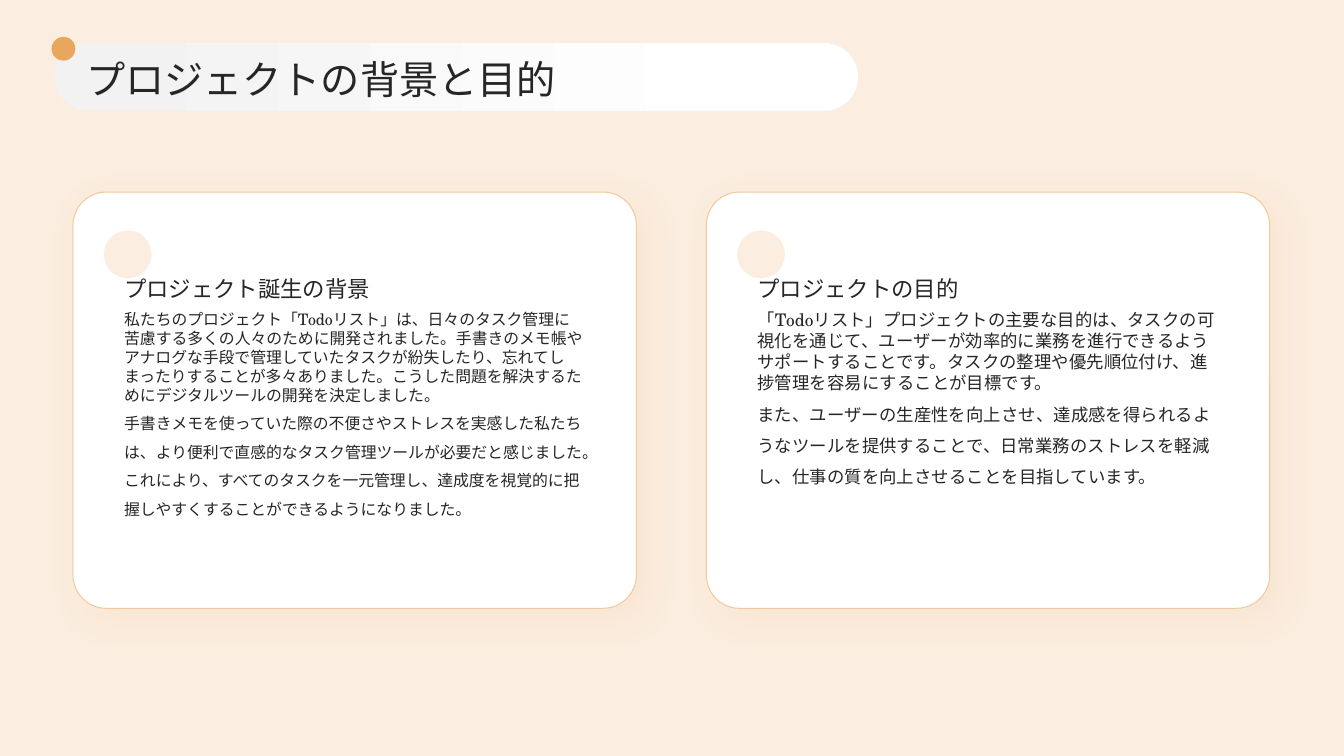
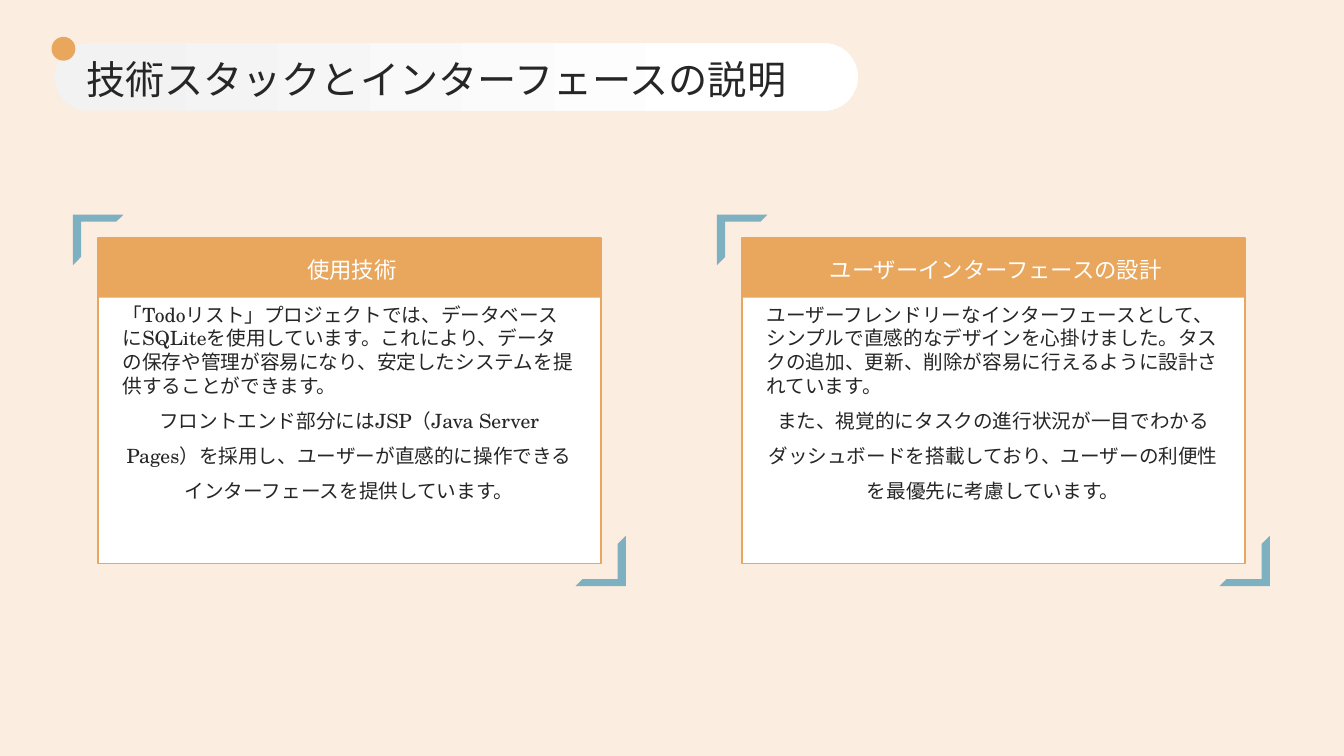
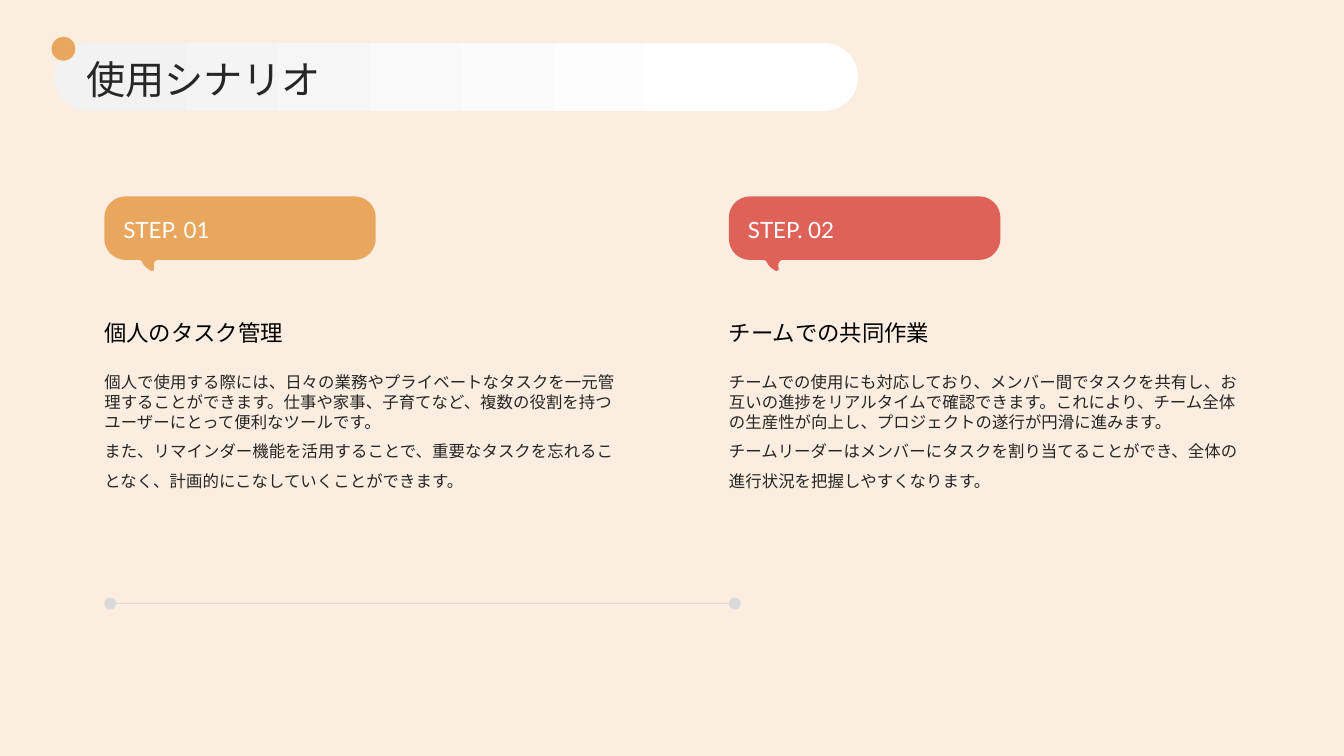
from dataclasses import dataclass
from typing import NamedTuple

import lxml.etree
import pptx
import pptx.dml.color
import pptx.enum.lang
import pptx.enum.shapes
import pptx.enum.text
import pptx.oxml.ns
import pptx.util

Cm = pptx.util.Cm
Pt = pptx.util.Pt
ALIGN = pptx.enum.text.PP_ALIGN
ANCHOR = pptx.enum.text.MSO_ANCHOR
SHAPE = pptx.enum.shapes.MSO_SHAPE
qn = pptx.oxml.ns.qn


# Theme
@dataclass(frozen=True)
class Theme:
    cream: str = "FBEDDF"
    white: str = "FFFFFF"
    pale_grey: str = "F2F2F2"
    rule_grey: str = "D9D9D9"
    ink: str = "262626"
    black: str = "000000"
    orange: str = "E9A65D"
    peach: str = "F2CA9E"
    teal: str = "7DB0C1"
    red: str = "DE6258"
    serif: str = "TeX Gyre Schola"
    sans: str = "Lato"
    title_size: float = 28
    heading_size: float = 16
    panel_size: float = 14
    purpose_size: float = 12.45
    scenario_size: float = 11.7
    background_size: float = 11.3


THEME = Theme()


@dataclass(frozen=True)
class TextStyle:
    size: float
    color: str = THEME.ink
    spacing: float = 1.5
    align: ALIGN = ALIGN.LEFT
    anchor: ANCHOR = ANCHOR.TOP
    font: str = THEME.serif


TITLE = TextStyle(THEME.title_size, spacing=1.1, anchor=ANCHOR.MIDDLE)
CARD_HEADING = TextStyle(THEME.heading_size, spacing=1.3, anchor=ANCHOR.BOTTOM)
PANEL_HEADING = TextStyle(THEME.heading_size, THEME.white, align=ALIGN.CENTER, anchor=ANCHOR.MIDDLE)
STEP_HEADING = TextStyle(THEME.heading_size, THEME.black, 1.3, anchor=ANCHOR.MIDDLE)
STEP_LABEL = TextStyle(THEME.heading_size, THEME.white, 1.1, anchor=ANCHOR.MIDDLE, font=THEME.sans)


class Box(NamedTuple):
    """Left, top, width and height in centimetres."""
    left: float
    top: float
    width: float
    height: float

    def shift(self, dx: float) -> "Box":
        return self._replace(left=self.left + dx)

    def lengths(self) -> list:
        return [Cm(value) for value in self]


PAGE = Box(0, 0, 33.87, 19.05)


@dataclass(frozen=True)
class Topic:
    heading: str
    body: str
    size: float
    label: str = ""
    accent: str = THEME.orange


# Drawing helpers
def rgb(color: str):
    return pptx.dml.color.RGBColor.from_string(color)


def paint(shape, fill: str, line: str = "", width: float = 1) -> None:
    shape.shadow.inherit = False
    shape.fill.solid()
    shape.fill.fore_color.rgb = rgb(fill)
    if line:
        shape.line.color.rgb = rgb(line)
        shape.line.width = Pt(width)
    else:
        shape.line.fill.background()


def add_block(slide, kind, box: Box, fill: str, line: str = "", width: float = 1):
    block = slide.shapes.add_shape(kind, *box.lengths())
    paint(block, fill, line, width)
    return block


def add_glow(shape, color: str) -> None:
    """Soft shadow towards the lower right."""
    effects = shape.element.spPr.find(qn("a:effectLst"))
    shadow = lxml.etree.SubElement(
        effects, qn("a:outerShdw"), blurRad=str(Pt(25)), dist=str(Pt(10)),
        dir=str(45 * 60000), algn="tl", rotWithShape="0")
    tint = lxml.etree.SubElement(shadow, qn("a:srgbClr"), val=color)
    lxml.etree.SubElement(tint, qn("a:alpha"), val="10000")


def write(holder, box: Box, text: str, style: TextStyle, wrap: bool = True) -> None:
    """Place a text holder in front and fill it with one run."""
    holder.left, holder.top, holder.width, holder.height = box.lengths()
    holder.element.getparent().append(holder.element)
    frame = holder.text_frame
    frame.word_wrap = wrap
    frame.auto_size = pptx.enum.text.MSO_AUTO_SIZE.NONE
    frame.margin_left = frame.margin_right = frame.margin_top = frame.margin_bottom = 0
    frame.vertical_anchor = style.anchor
    paragraph = frame.paragraphs[0]
    properties = paragraph._p.get_or_add_pPr()
    properties.set("marL", "0")
    properties.set("indent", "0")
    lxml.etree.SubElement(properties, qn("a:buNone"))
    paragraph.alignment = style.align
    paragraph.line_spacing = style.spacing
    paragraph.space_before = paragraph.space_after = Pt(0)
    run = paragraph.add_run()
    run.text = text
    run.font.size = Pt(style.size)
    run.font.bold = False
    run.font.name = style.font
    run.font.color.rgb = rgb(style.color)
    run.font.language_id = pptx.enum.lang.MSO_LANGUAGE_ID.JAPANESE
    latin = run.font._element.find(qn("a:latin"))
    latin.addnext(lxml.etree.Element(qn("a:ea"), typeface=style.font))


def write_topic(slide, column: int, topic: Topic, heading_box: Box, heading: TextStyle,
                body_box: Box, align: ALIGN = ALIGN.LEFT) -> None:
    """Fill one heading and body pair of the comparison layout."""
    holders = slide.placeholders
    write(holders[1 + 2 * column], heading_box, topic.heading, heading)
    write(holders[2 + 2 * column], body_box, topic.body, TextStyle(topic.size, align=align))


def start_slide(deck):
    slide = deck.slides.add_slide(deck.slide_layouts.get_by_name("Comparison"))
    add_block(slide, SHAPE.RECTANGLE, PAGE, THEME.cream)
    return slide


def add_title_band(slide, title: str) -> None:
    """Title band shared by all slides, in front of the content."""
    band = add_block(slide, SHAPE.ROUNDED_RECTANGLE, Box(1.37, 1.09, 20.25, 1.7), THEME.white)
    band.adjustments[0] = 0.5
    band.fill.gradient()
    band.fill.gradient_angle = 0
    stops = ((0.05, THEME.pale_grey), (0.85, THEME.white))
    for stop, (position, color) in zip(band.fill.gradient_stops, stops):
        stop.position = position
        stop.color.rgb = rgb(color)
    add_block(slide, SHAPE.OVAL, Box(1.3, 0.93, 0.6, 0.6), THEME.orange)
    write(slide.shapes.title, Box(2.17, 1.28, 29.82, 1.3), title, TITLE)


# Speech bubble
def bubble_outline() -> list[tuple]:
    """Edges in centimetres: one point is a line, three points are a curve."""
    width, height, radius, pull = 6.84, 1.6, 0.53, 0.24
    far, low = width - radius, height - radius
    return [
        ((0.89, height),),
        ((0.92, height), (0.93, height), (0.94, 1.63)),
        ((0.99, 1.75), (1.09, 1.83), (1.19, 1.88)),
        ((1.22, 1.88), (1.24, 1.88), (1.25, 1.86)),
        ((1.26, 1.85), (1.26, 1.82), (1.25, 1.8)),
        ((1.24, 1.75), (1.22, 1.65), (1.33, height)),
        ((1.34, height), (1.34, height), (1.35, height)),
        ((far, height),),
        ((width - pull, height), (width, height - pull), (width, low)),
        ((width, radius),),
        ((width, pull), (width - pull, 0), (far, 0)),
        ((radius, 0),),
        ((pull, 0), (0, pull), (0, radius)),
        ((0, low),),
        ((0, height - pull), (pull, height), (radius, height)),
    ]


def add_bubble(slide, left: float, top: float, color: str) -> None:
    edges = bubble_outline()
    points = [(Cm(left + x), Cm(top + y)) for edge in edges for x, y in edge]
    builder = slide.shapes.build_freeform(*points[-1])
    builder.add_line_segments(points, close=True)
    bubble = builder.convert_to_shape()
    paint(bubble, color)
    # Merge each three-point edge into one curve
    steps = iter(list(bubble.element.iter(qn("a:lnTo"))))
    for edge in edges:
        group = [next(steps) for _ in edge]
        if len(group) == 3:
            curve = lxml.etree.Element(qn("a:cubicBezTo"))
            group[0].addprevious(curve)
            for step in group:
                curve.append(step[0])
                step.getparent().remove(step)


# Slides
def build_background(deck) -> None:
    topics = (
        Topic("プロジェクト誕生の背景",
              "私たちのプロジェクト「Todoリスト」は、日々のタスク管理に苦慮する多くの人々のために開発されました。"
              "手書きのメモ帳やアナログな手段で管理していたタスクが紛失したり、忘れてしまったりすることが多々ありました。"
              "こうした問題を解決するためにデジタルツールの開発を決定しました。\n"
              "手書きメモを使っていた際の不便さやストレスを実感した私たちは、より便利で直感的なタスク管理ツールが必要だと感じました。"
              "これにより、すべてのタスクを一元管理し、達成度を視覚的に把握しやすくすることができるようになりました。",
              THEME.background_size),
        Topic("プロジェクトの目的",
              "「Todoリスト」プロジェクトの主要な目的は、タスクの可視化を通じて、ユーザーが効率的に業務を進行できるよう"
              "サポートすることです。タスクの整理や優先順位付け、進捗管理を容易にすることが目標です。\n"
              "また、ユーザーの生産性を向上させ、達成感を得られるようなツールを提供することで、日常業務のストレスを軽減し、"
              "仕事の質を向上させることを目指しています。",
              THEME.purpose_size),
    )
    slide = start_slide(deck)
    for column, topic in enumerate(topics):
        dx = column * 15.96
        card = add_block(slide, SHAPE.ROUNDED_RECTANGLE, Box(1.84, 4.84, 14.2, 10.49).shift(dx),
                         THEME.white, THEME.peach, 0.75)
        card.adjustments[0] = 0.08
        add_glow(card, THEME.orange)
        add_block(slide, SHAPE.OVAL, Box(2.62, 5.81, 1.2, 1.2).shift(dx), THEME.cream)
        write_topic(slide, column, topic, Box(3.13, 6.25, 11.61, 1.37).shift(dx), CARD_HEADING,
                    Box(3.13, 7.8, 11.61, 6.5).shift(dx))
    add_title_band(slide, "プロジェクトの背景と目的")


def build_technology(deck) -> None:
    topics = (
        Topic("使用技術",
              "「Todoリスト」プロジェクトでは、データベースにSQLiteを使用しています。"
              "これにより、データの保存や管理が容易になり、安定したシステムを提供することができます。\n"
              "フロントエンド部分にはJSP（Java Server Pages）を採用し、"
              "ユーザーが直感的に操作できるインターフェースを提供しています。",
              THEME.panel_size),
        Topic("ユーザーインターフェースの設計",
              "ユーザーフレンドリーなインターフェースとして、シンプルで直感的なデザインを心掛けました。"
              "タスクの追加、更新、削除が容易に行えるように設計されています。\n"
              "また、視覚的にタスクの進行状況が一目でわかるダッシュボードを搭載しており、"
              "ユーザーの利便性を最優先に考慮しています。",
              THEME.panel_size),
    )
    slide = start_slide(deck)
    for column, topic in enumerate(topics):
        dx = column * 16.23
        for left, top, turn in ((1.84, 5.41, 0), (14.5, 13.5, 180)):
            bracket = add_block(slide, SHAPE.HALF_FRAME, Box(left, top, 1.27, 1.27).shift(dx), THEME.teal)
            bracket.adjustments[0], bracket.adjustments[1] = 0.14, 0.16
            bracket.rotation = turn
        panel = Box(2.47, 6, 12.68, 8.2).shift(dx)
        add_block(slide, SHAPE.RECTANGLE, panel, THEME.white, THEME.orange)
        add_block(slide, SHAPE.RECTANGLE, panel._replace(height=1.5), THEME.orange)
        write_topic(slide, column, topic, Box(4.37, 5.87, 8.99, 1.52).shift(dx), PANEL_HEADING,
                    Box(3.09, 7.63, 11.42, 5.87).shift(dx), ALIGN.CENTER)
    add_title_band(slide, "技術スタックとインターフェースの説明")


def build_scenarios(deck) -> None:
    topics = (
        Topic("個人のタスク管理",
              "個人で使用する際には、日々の業務やプライベートなタスクを一元管理することができます。"
              "仕事や家事、子育てなど、複数の役割を持つユーザーにとって便利なツールです。\n"
              "また、リマインダー機能を活用することで、重要なタスクを忘れることなく、計画的にこなしていくことができます。",
              THEME.scenario_size, "STEP. 01"),
        Topic("チームでの共同作業",
              "チームでの使用にも対応しており、メンバー間でタスクを共有し、お互いの進捗をリアルタイムで確認できます。"
              "これにより、チーム全体の生産性が向上し、プロジェクトの遂行が円滑に進みます。\n"
              "チームリーダーはメンバーにタスクを割り当てることができ、全体の進行状況を把握しやすくなります。",
              THEME.scenario_size, "STEP. 02", THEME.red),
    )
    slide = start_slide(deck)
    left, pitch, dot = 2.63, 15.74, 0.3
    for column, topic in enumerate(topics):
        dx = column * pitch
        add_bubble(slide, left + dx, 4.95, topic.accent)
        label_box = Box(3.11, 5.28, 5.89, 0.94).shift(dx)
        write(slide.shapes.add_textbox(*label_box.lengths()), label_box, topic.label, STEP_LABEL, wrap=False)

    # Timeline under both steps
    line_y = Cm(15.21)
    timeline = slide.shapes.add_connector(
        pptx.enum.shapes.MSO_CONNECTOR.STRAIGHT,
        Cm(left + 0.06), line_y, Cm(left + pitch + 0.12), line_y)
    timeline.line.color.rgb = rgb(THEME.rule_grey)
    timeline.line.width = Pt(1)
    lxml.etree.SubElement(timeline.element.spPr, qn("a:effectLst"))
    for dx in (pitch, 0):
        add_block(slide, SHAPE.OVAL, Box(left, 15.06, dot, dot).shift(dx), THEME.rule_grey)

    for column, topic in enumerate(topics):
        dx = column * pitch
        write_topic(slide, column, topic, Box(left, 7.18, 12.9, 2.21).shift(dx), STEP_HEADING,
                    Box(left, 9.38, 12.9, 3.99).shift(dx))
    add_title_band(slide, "使用シナリオ")


def main() -> None:
    deck = pptx.Presentation()
    deck.slide_width, deck.slide_height = Cm(PAGE.width), Cm(PAGE.height)
    build_background(deck)
    build_technology(deck)
    build_scenarios(deck)
    deck.save("out.pptx")


if __name__ == "__main__":
    main()
